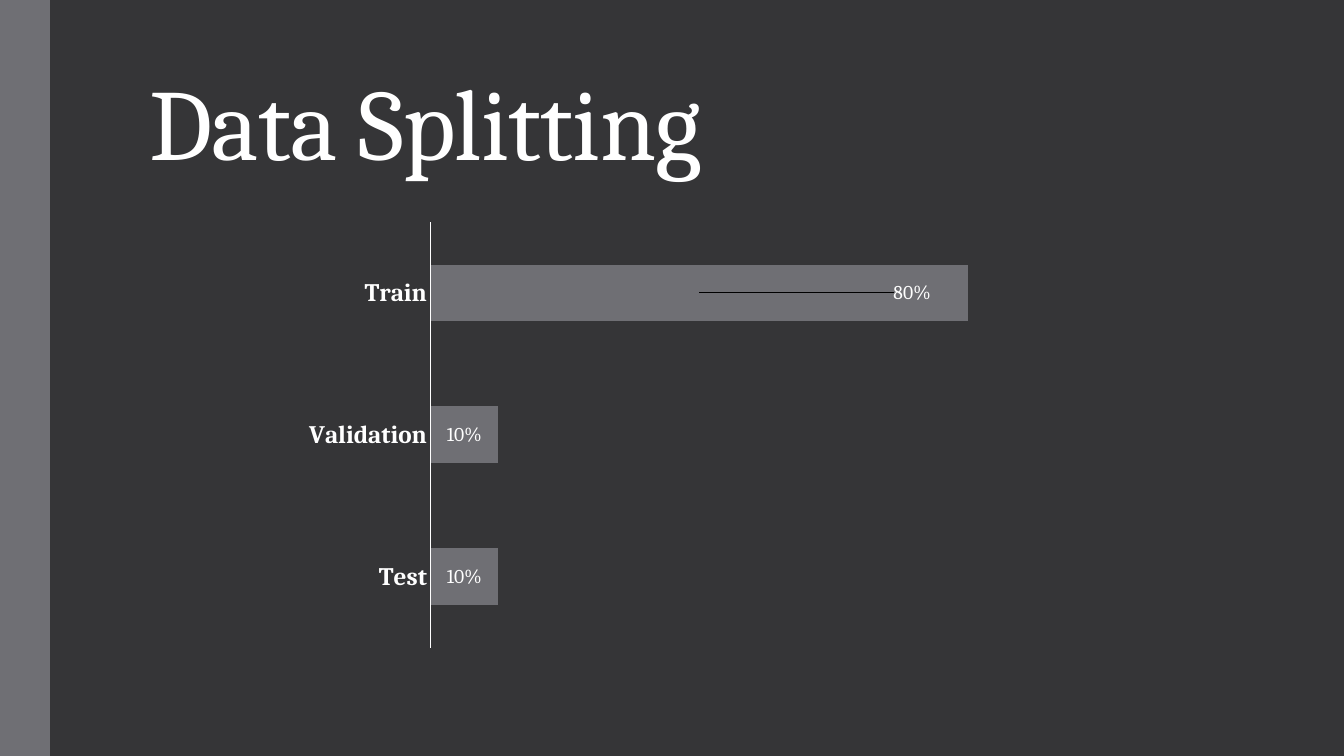
"""Build the data splitting slide with its bar chart."""
import dataclasses

import lxml.etree
import pptx
import pptx.chart.data
import pptx.dml.color
import pptx.enum.chart
import pptx.enum.shapes
import pptx.enum.text
import pptx.oxml
import pptx.oxml.ns
import pptx.util

SCALE = 914400 / 100.8
FONT = "Cambria"
DARK, GREY, WHITE = "353537", "6F6F74", "FFFFFF"


@dataclasses.dataclass(frozen=True)
class Box:
    left: int
    top: int
    width: int
    height: int

    def emu(self) -> list[int]:
        return [px(side) for side in dataclasses.astuple(self)]


@dataclasses.dataclass(frozen=True)
class Split:
    name: str
    share: int


PAGE = Box(0, 0, 1344, 756)
BAND = Box(0, 0, 50, 756)
TITLE = Box(139, 40, 1068, 146)
CHART = Box(293, 214, 757, 444)
PLOT = Box(431, 222, 604, 426)
SHIFT = 213
SPLITS = [Split("Test", 10), Split("Validation", 10), Split("Train", 80)]


def px(count: int) -> int:
    return round(count * SCALE)


def paint(color, code: str) -> None:
    color.rgb = pptx.dml.color.RGBColor.from_string(code)


def fill(part, code: str) -> None:
    part.fill.solid()
    paint(part.fill.fore_color, code)


def style(font, size: int, bold: bool = False, code: str = WHITE) -> None:
    font.name, font.size, font.bold = FONT, pptx.util.Pt(size), bold
    paint(font.color, code)


def write(frame, text: str, *, size: int, leading: float = 1, track: int = 0) -> None:
    frame.word_wrap = True
    frame.auto_size = pptx.enum.text.MSO_AUTO_SIZE.NONE
    frame.vertical_anchor = pptx.enum.text.MSO_ANCHOR.BOTTOM
    line = frame.paragraphs[0]
    line.alignment = pptx.enum.text.PP_ALIGN.LEFT
    line.line_spacing = leading
    run = line.add_run()
    run.text = text
    style(run.font, size)
    run.font._element.set("spc", str(track))


def layout(**values) -> lxml.etree._Element:
    marks = "".join(f'<c:{key} val="{value}"/>' for key, value in values.items())
    space = pptx.oxml.ns.nsdecls("c")
    return pptx.oxml.parse_xml(
        f"<c:layout {space}><c:manualLayout>{marks}</c:manualLayout></c:layout>")


def place(chart) -> None:
    area = chart._chartSpace.chart.plotArea
    for old in area.findall(pptx.oxml.ns.qn("c:layout")):
        area.remove(old)
    area.insert(0, layout(
        layoutTarget="inner", xMode="edge", yMode="edge",
        x=round((PLOT.left - CHART.left) / CHART.width, 4),
        y=round((PLOT.top - CHART.top) / CHART.height, 4),
        w=round(PLOT.width / CHART.width, 4),
        h=round(PLOT.height / CHART.height, 4)))


def label(series) -> None:
    spot = pptx.enum.chart.XL_LABEL_POSITION.CENTER
    marks = series.data_labels
    marks.show_value = True
    marks.number_format, marks.number_format_is_linked = '0"%"', False
    marks.position = spot
    style(marks.font, 14)
    last = series.points[len(SPLITS) - 1].data_label
    style(last.font, 14)
    last.position = spot
    last._dLbl.insert(1, layout(x=round(SHIFT / CHART.width, 4), y=0))


def graph(slide) -> None:
    data = pptx.chart.data.CategoryChartData(number_format='0"%"')
    data.categories = [split.name for split in SPLITS]
    data.add_series("Series 1", [split.share for split in SPLITS])
    kind = pptx.enum.chart.XL_CHART_TYPE.BAR_STACKED
    chart = slide.shapes.add_chart(kind, *CHART.emu(), data).chart
    chart.has_legend = chart.has_title = False
    style(chart.font, 10)
    plot = chart.plots[0]
    plot.gap_width, plot.overlap, plot.vary_by_categories = 150, 100, False
    fill(plot.series[0].format, GREY)
    label(plot.series[0])
    names, scale = chart.category_axis, chart.value_axis
    names.major_tick_mark = names.minor_tick_mark = pptx.enum.chart.XL_TICK_MARK.NONE
    names.has_major_gridlines = scale.has_major_gridlines = False
    style(names.tick_labels.font, 18, bold=True)
    names.format.line.width = pptx.util.Pt(0.75)
    fill(names.format.line, WHITE)
    scale.minimum_scale, scale.maximum_scale, scale.visible = 0, 90, False
    place(chart)


def main() -> None:
    deck = pptx.Presentation()
    deck.slide_width, deck.slide_height = PAGE.emu()[2:]
    slide = deck.slides.add_slide(deck.slide_layouts[5])
    fill(slide.background, DARK)
    band = slide.shapes.add_shape(
        pptx.enum.shapes.MSO_SHAPE.RECTANGLE, *BAND.emu())
    band.shadow.inherit = False
    fill(band, GREY)
    band.line.fill.background()
    title = slide.shapes.title
    title.left, title.top, title.width, title.height = TITLE.emu()
    write(title.text_frame, "Data Splitting", size=72, leading=0.85, track=-50)
    graph(slide)
    deck.save("out.pptx")


main()
